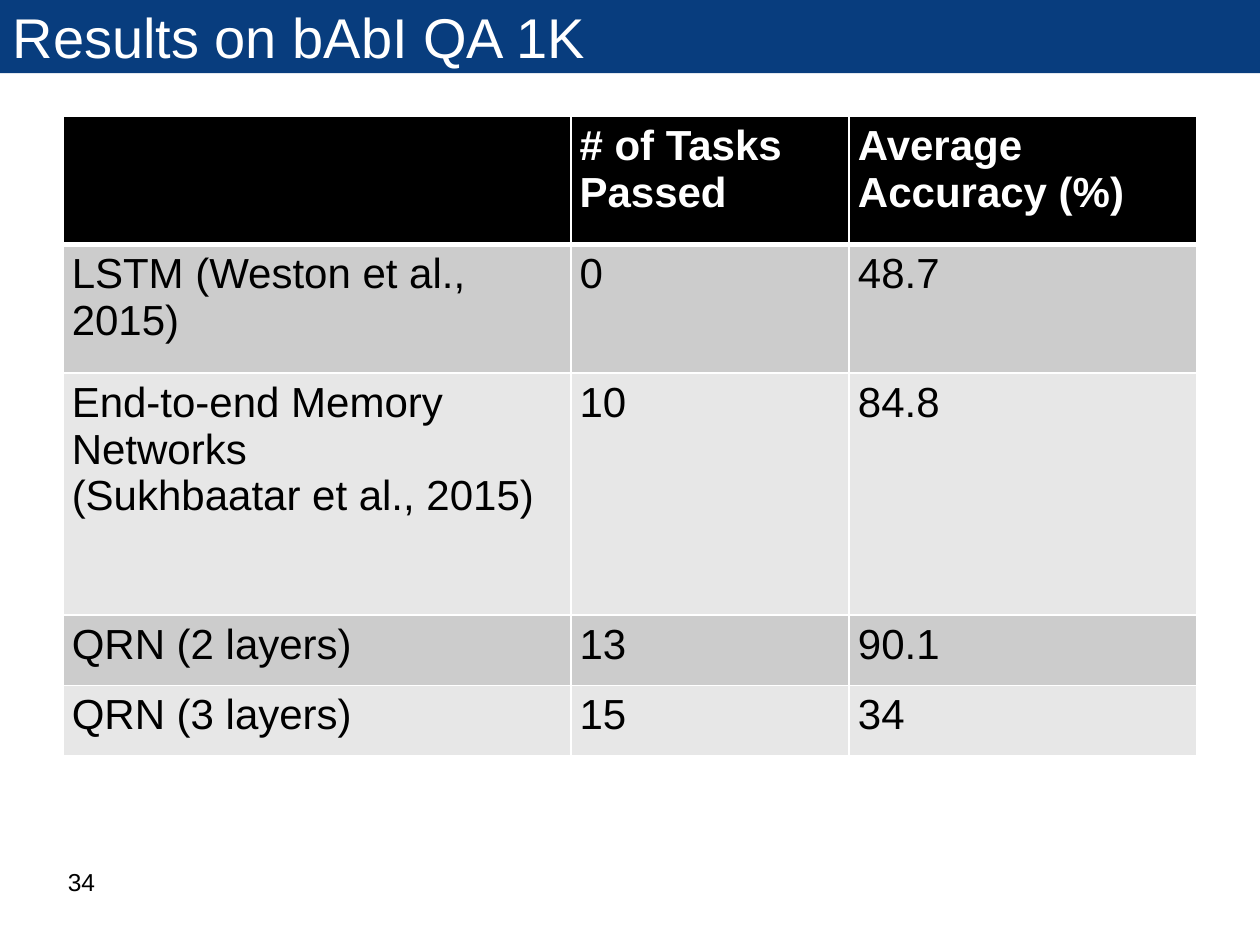
from lxml import etree
from pptx import Presentation
from pptx import util as u
from pptx.dml.color import RGBColor
from pptx.enum import text
from pptx.oxml.ns import qn

FONT = "Arial"
WHITE = RGBColor(0xFF, 0xFF, 0xFF)
BLACK = RGBColor(0, 0, 0)
NAVY = RGBColor(0x08, 0x3D, 0x7E)
DARK_BAND = RGBColor(0xCC, 0xCC, 0xCC)
LIGHT_BAND = RGBColor(0xE7, 0xE7, 0xE7)

COLUMN_WIDTHS = [4.03, 2.21, 2.76]
ROW_HEIGHTS = [1.02, 1.02, 1.92, 0.56, 0.56]
RESULTS = [
    ["", "# of Tasks Passed", "Average Accuracy (%)"],
    ["LSTM (Weston et al., 2015)", "0", "48.7"],
    ["End-to-end Memory Networks\n(Sukhbaatar et al., 2015)", "10", "84.8"],
    ["QRN (2 layers)", "13", "90.1"],
    ["QRN (3 layers)", "15", "34"],
]


def write(frame, content, size, color, bold=False):
    frame.text = content
    for para in frame.paragraphs:
        para.alignment = text.PP_ALIGN.LEFT
        para.font.name = FONT
        para.font.size = u.Pt(size)
        para.font.bold = bold
        para.font.color.rgb = color


def add_title(slide, content):
    title = slide.shapes.title
    title.left, title.top = u.Inches(0), u.Inches(0)
    title.width, title.height = u.Inches(10), u.Inches(0.58)
    title.fill.solid()
    title.fill.fore_color.rgb = NAVY
    frame = title.text_frame
    frame.word_wrap = True
    frame.auto_size = text.MSO_AUTO_SIZE.NONE
    frame.vertical_anchor = text.MSO_ANCHOR.MIDDLE
    write(frame, content, 32, WHITE)


def set_borders(cell, top, bottom):
    """Draw white cell borders; top and bottom widths are in points."""
    properties = cell._tc.get_or_add_tcPr()
    for side, width in (("L", 1), ("R", 1), ("T", top), ("B", bottom)):
        line = etree.SubElement(properties, qn(f"a:ln{side}"), w=str(u.Pt(width)))
        fill = etree.SubElement(line, qn("a:solidFill"))
        etree.SubElement(fill, qn("a:srgbClr"), val=str(WHITE))


def format_cell(cell, content, row):
    header = row == 0
    cell.margin_left = cell.margin_right = u.Inches(0.07)
    cell.margin_top = cell.margin_bottom = u.Inches(0.05)
    # A thick rule separates the header from the body
    set_borders(cell, top=3 if row == 1 else 1, bottom=3 if header else 1)
    cell.fill.solid()
    band = DARK_BAND if row % 2 else LIGHT_BAND
    cell.fill.fore_color.rgb = BLACK if header else band
    write(cell.text_frame, content, 24, WHITE if header else BLACK, bold=header)


def add_results_table(slide):
    frame = slide.shapes.add_table(
        len(ROW_HEIGHTS), len(COLUMN_WIDTHS), u.Inches(0.5), u.Inches(0.92),
        u.Inches(sum(COLUMN_WIDTHS)), u.Inches(sum(ROW_HEIGHTS)))
    table = frame.table
    for column, width in zip(table.columns, COLUMN_WIDTHS):
        column.width = u.Inches(width)
    for row, height in zip(table.rows, ROW_HEIGHTS):
        row.height = u.Inches(height)
    for row, values in enumerate(RESULTS):
        for column, value in enumerate(values):
            format_cell(table.cell(row, column), value, row)


def add_page_number(slide, number):
    box = slide.shapes.add_textbox(
        u.Inches(0.44), u.Inches(6.83), u.Inches(2.33), u.Inches(0.52))
    box.text_frame.word_wrap = True
    write(box.text_frame, number, 14, BLACK)


def main():
    deck = Presentation()
    deck.slide_width, deck.slide_height = u.Inches(10), u.Inches(7.5)
    slide = deck.slides.add_slide(deck.slide_layouts[5])
    add_title(slide, "Results on bAbI QA 1K")
    add_results_table(slide)
    add_page_number(slide, "34")
    deck.save("out.pptx")


if __name__ == "__main__":
    main()
